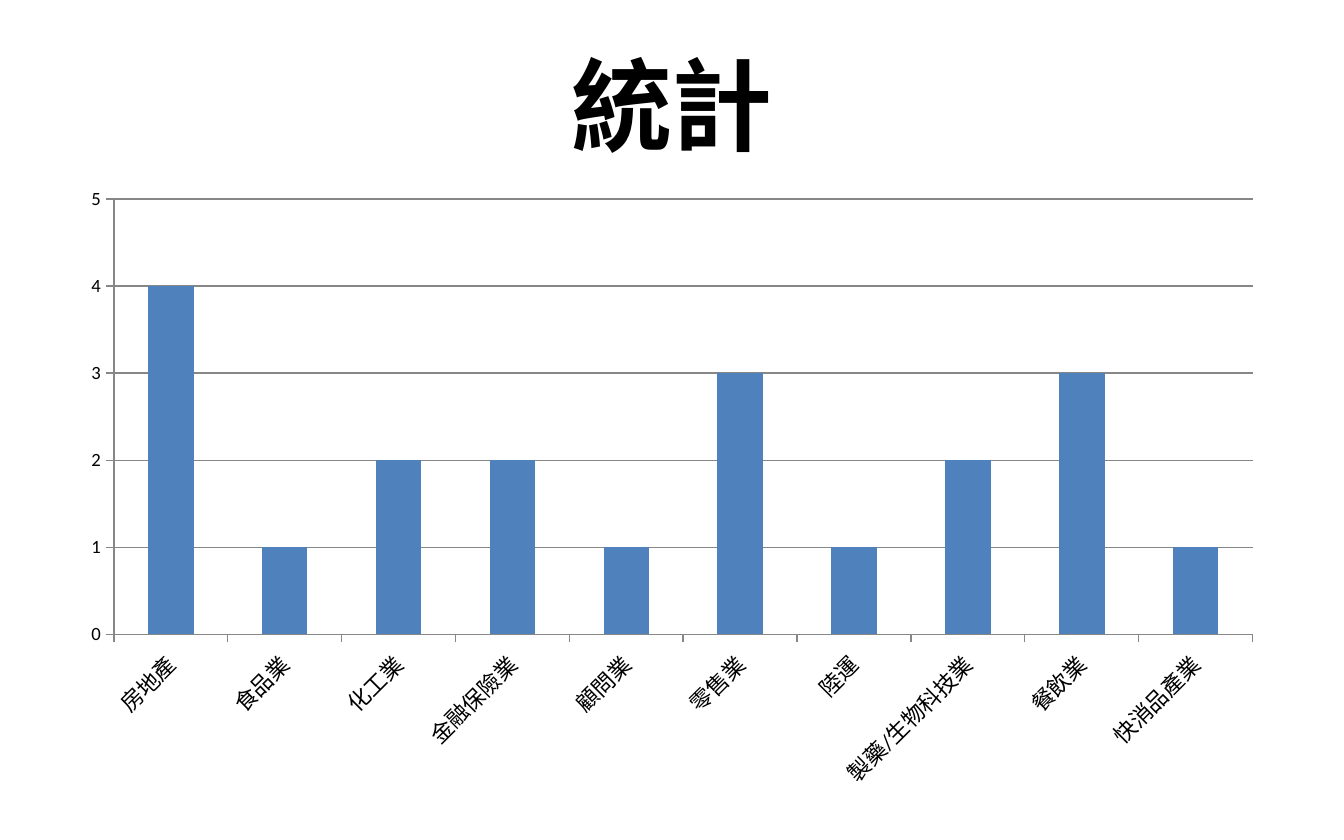
import pptx
import pptx.chart.data
import pptx.dml.color
import pptx.enum.chart
import pptx.enum.text
import pptx.oxml
import pptx.oxml.ns
import pptx.util

PX = 9144  # EMU per px, 100 px to the inch
COLORS = {"text": "000000", "bar": "4F81BD", "grid": "878787"}
FONTS = {"latin": "Calibri", "cjk": "Noto Sans CJK SC"}
COUNTS = {
    "房地產": 4, "食品業": 1, "化工業": 2, "金融保險業": 2, "顧問業": 1,
    "零售業": 3, "陸運": 1, "製藥/生物科技業": 2, "餐飲業": 3, "快消品產業": 1,
}


def px(*nums):
    return [pptx.util.Emu(num * PX) for num in nums]


def color(name):
    return pptx.dml.color.RGBColor.from_string(COLORS[name])


def style(font, size, face, bold=False):
    font.size = pptx.util.Pt(size)
    font.name = FONTS[face]
    font.bold = bold
    font.color.rgb = color("text")


def add_text(slide, text, box, size=18, face="latin", bold=False):
    """Add one centred line of text in a box given in px."""
    frame = slide.shapes.add_textbox(*px(*box)).text_frame
    frame.word_wrap = True
    frame.vertical_anchor = pptx.enum.text.MSO_ANCHOR.MIDDLE
    para = frame.paragraphs[0]
    para.alignment = pptx.enum.text.PP_ALIGN.CENTER
    run = para.add_run()
    run.text = text
    style(run.font, size, face, bold)
    east = pptx.oxml.parse_xml(
        f'<a:ea {pptx.oxml.ns.nsdecls("a")} typeface="{FONTS[face]}"/>')
    run.font._element.find(pptx.oxml.ns.qn("a:latin")).addnext(east)


def set_line(line):
    line.color.rgb = color("grid")
    line.width = pptx.util.Pt(0.75)


def set_axis(axis, size):
    axis.major_tick_mark = pptx.enum.chart.XL_TICK_MARK.OUTSIDE
    axis.minor_tick_mark = pptx.enum.chart.XL_TICK_MARK.NONE
    set_line(axis.format.line)
    style(axis.tick_labels.font, size, "latin")


def add_bars(slide, counts, box):
    """Add a column chart of counts by name in a box given in px."""
    data = pptx.chart.data.CategoryChartData(number_format="General")
    data.categories = list(counts)
    data.add_series("Series 1", list(counts.values()))
    kind = pptx.enum.chart.XL_CHART_TYPE.COLUMN_CLUSTERED
    chart = slide.shapes.add_chart(kind, *px(*box), data).chart
    chart.has_legend = False
    chart.has_title = False
    style(chart.font, 10, "latin")

    plot = chart.plots[0]
    plot.gap_width = 150
    plot.vary_by_categories = False
    fill = plot.series[0].format.fill
    fill.solid()
    fill.fore_color.rgb = color("bar")

    names, scale = chart.category_axis, chart.value_axis
    set_axis(names, 12)
    set_axis(scale, 10)
    body = names._element.find(".//" + pptx.oxml.ns.qn("a:bodyPr"))
    body.set("rot", str(-45 * 60000))
    scale.minimum_scale, scale.maximum_scale = 0, 5
    scale.major_unit = 1
    scale.has_major_gridlines = True
    set_line(scale.major_gridlines.format.line)


def main():
    deck = pptx.Presentation()
    deck.slide_width, deck.slide_height = px(1000, 625)
    slide = deck.slides.add_slide(deck.slide_layouts[6])
    add_text(slide, "統計", (50, 25, 900, 104), size=54, face="cjk", bold=True)
    add_bars(slide, COUNTS, (50, 131, 900, 465))
    deck.save("out.pptx")


if __name__ == "__main__":
    main()
